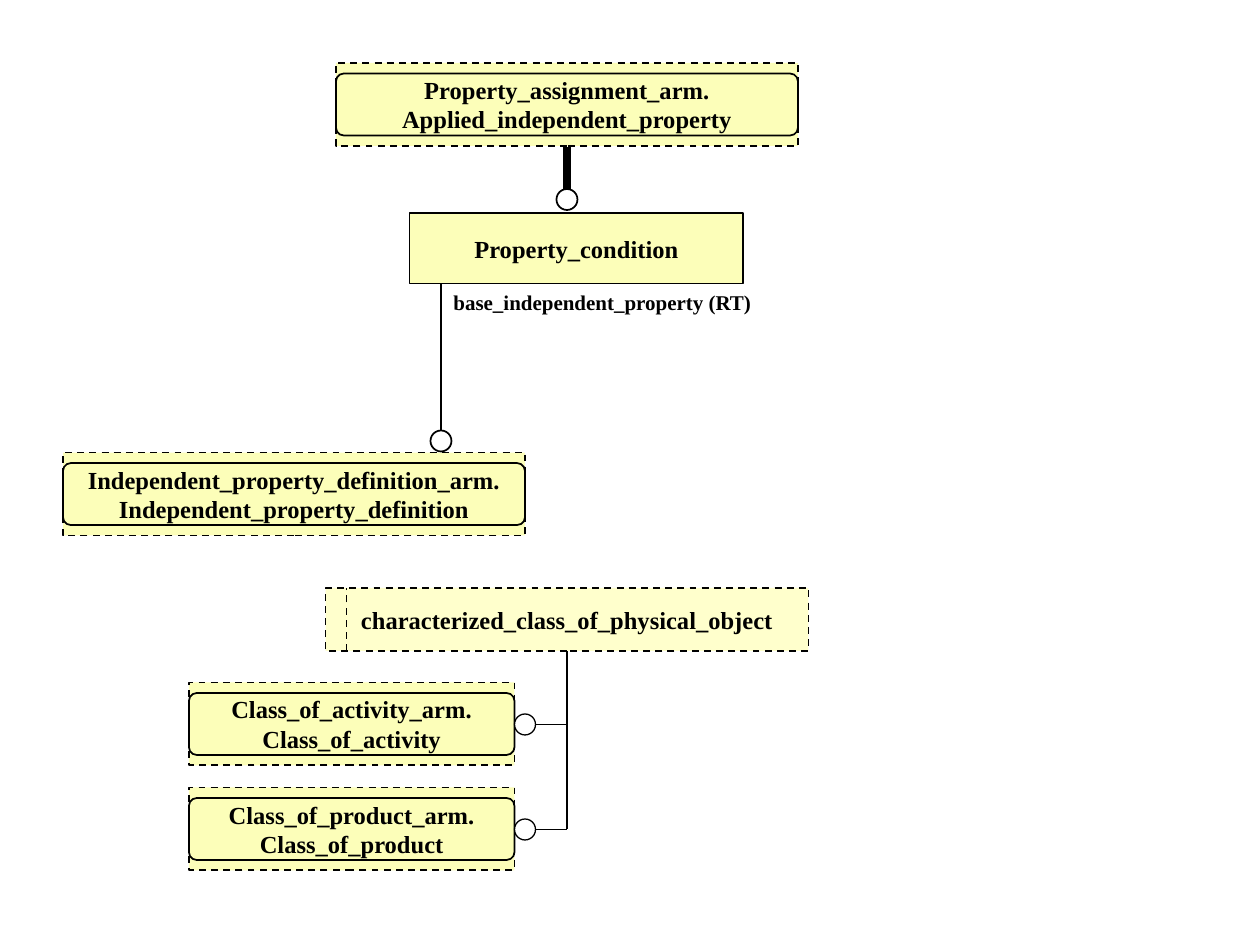
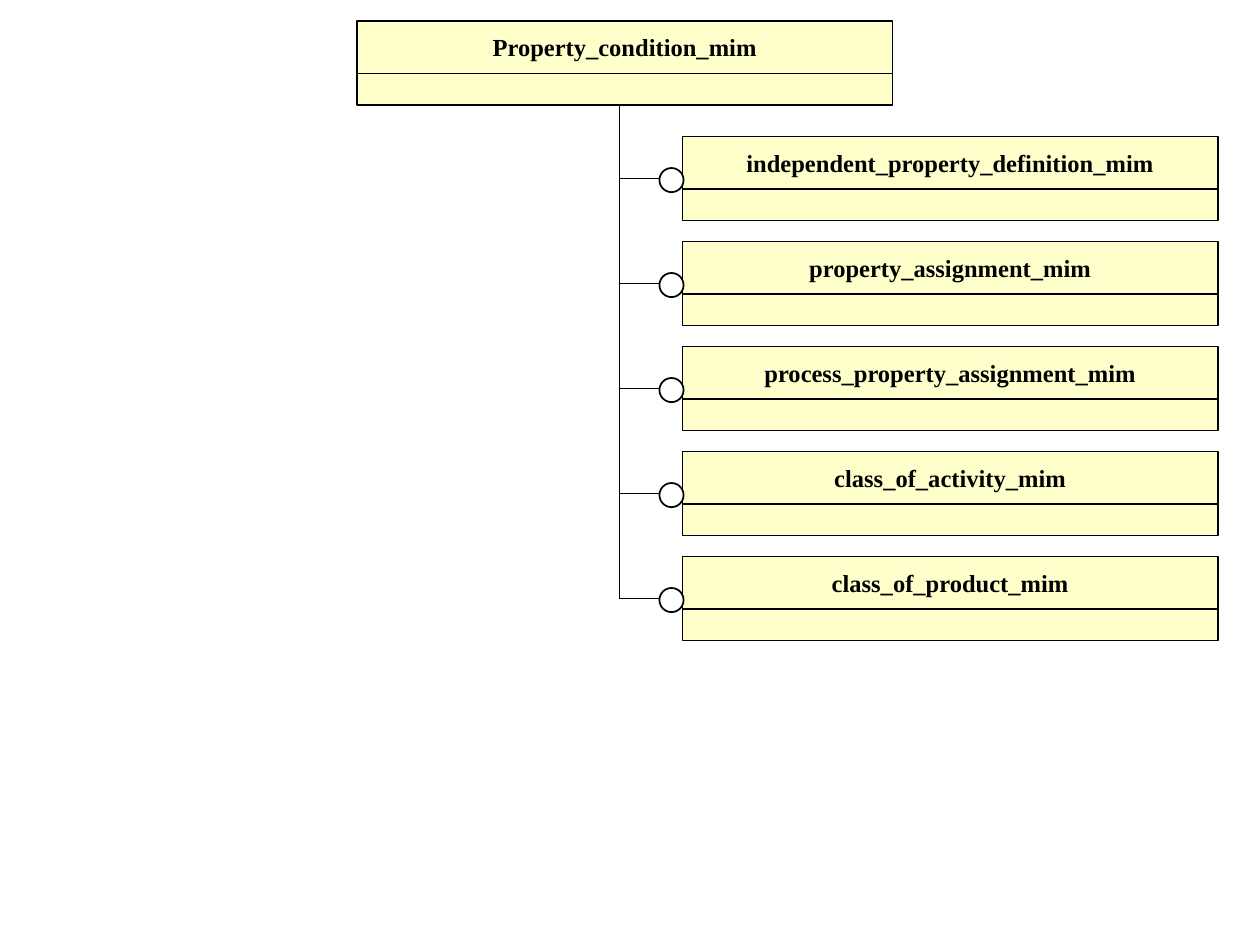
from dataclasses import dataclass

from lxml import etree
from pptx import Presentation
from pptx import util as u
from pptx.dml.color import RGBColor
from pptx.enum import dml, shapes, text
from pptx.oxml import ns

PX = 7620


@dataclass(frozen=True)
class Theme:
    ink: str = "000000"
    paper: str = "FFFFFF"
    entity: str = "FCFEB9"
    schema: str = "FFFFCC"
    font: str = "Times New Roman"
    name_size: int = 14
    role_size: int = 12
    thin: float = 0.75
    normal: float = 1
    thick: float = 4.5


THEME = Theme()
FRAME = dict(margin_left=12 * PX, margin_right=12 * PX, margin_top=6 * PX,
             margin_bottom=6 * PX, word_wrap=False)
RECT = shapes.MSO_SHAPE.RECTANGLE
CIRCLE = shapes.MSO_SHAPE.OVAL
ROUNDED = shapes.MSO_SHAPE.ROUNDED_RECTANGLE


def apply(target, formats):
    for attribute, value in formats.items():
        setattr(target, attribute, value)


def stroke(outline, weight, dashed=False):
    outline.color.rgb = RGBColor.from_string(THEME.ink)
    outline.width = u.Pt(weight)
    if dashed:
        outline.dash_style = dml.MSO_LINE.DASH


def write(frame, wording, size, align, anchor):
    apply(frame, dict(FRAME, vertical_anchor=anchor))
    for index, words in enumerate(wording.split("\n")):
        paragraph = frame.paragraphs[0] if index == 0 else frame.add_paragraph()
        paragraph.text = words
        paragraph.alignment = align
        apply(paragraph.font, dict(name=THEME.font, size=u.Pt(size), bold=True))
        paragraph.font.color.rgb = RGBColor.from_string(THEME.ink)


def block(parent, kind, box, fill, weight, wording="", dashed=False):
    outline = parent.add_shape(kind, *(length * PX for length in box))
    outline.shadow.inherit = False
    if fill:
        outline.fill.solid()
        outline.fill.fore_color.rgb = RGBColor.from_string(fill)
    else:
        outline.fill.background()
    stroke(outline.line, weight, dashed)
    if wording:
        write(outline.text_frame, wording, THEME.name_size,
              text.PP_ALIGN.CENTER, text.MSO_ANCHOR.MIDDLE)
    return outline


def relation(parent, start, end, weight=THEME.thin, dashed=False):
    link = parent.add_connector(shapes.MSO_CONNECTOR.STRAIGHT,
                                *(length * PX for length in start + end))
    stroke(link.line, weight, dashed)
    etree.SubElement(link._element.spPr, ns.qn("a:effectLst"))


def role_label(parent, box, wording):
    label = parent.add_textbox(*(length * PX for length in box))
    write(label.text_frame, wording, THEME.role_size,
          text.PP_ALIGN.LEFT, text.MSO_ANCHOR.TOP)
    label.text_frame.auto_size = text.MSO_AUTO_SIZE.SHAPE_TO_FIT_TEXT


def referenced_entity(parent, left, top, width, wording):
    members = parent.add_group_shape().shapes
    block(members, RECT, (left, top, width, 79), THEME.entity, THEME.normal,
          wording, dashed=True)
    inner = block(members, ROUNDED, (left, top + 10, width, 59), None, THEME.normal)
    inner.adjustments[0] = 0.125


def schema_box(parent, left, top, wording):
    members = parent.add_group_shape().shapes
    block(members, RECT, (left, top, 510, 50), THEME.schema, THEME.thin, wording)
    block(members, RECT, (left, top + 50, 510, 30), THEME.schema, THEME.thin)


def property_region(parent, left, top):
    supertype_x, base_x = left + 480, left + 360
    condition_top = top + 143
    condition_bottom = condition_top + 67
    definition_top = top + 371

    block(parent, RECT, (left + 330, condition_top, 318, 67),
          THEME.entity, THEME.normal, "Property_condition")
    referenced_entity(parent, left, definition_top, 440,
                      "Independent_property_definition_arm.\nIndependent_property_definition")
    relation(parent, (base_x, condition_bottom), (base_x, definition_top - 21))
    role_label(parent, (base_x, condition_bottom, 308, 36), "base_independent_property (RT)")
    block(parent, CIRCLE, (base_x - 10, definition_top - 21, 20, 20),
          THEME.paper, THEME.normal)

    referenced_entity(parent, supertype_x - 220, top, 440,
                      "Property_assignment_arm.\nApplied_independent_property")
    block(parent, CIRCLE, (supertype_x - 10, top + 120, 20, 20),
          THEME.paper, THEME.normal)
    relation(parent, (supertype_x, top + 120), (supertype_x, top + 80), THEME.thick)


def select_region(parent, left, top, members):
    select_left, trunk_x = left + 130, left + 360
    block(parent, RECT, (select_left, top, 460, 60), THEME.schema, THEME.normal,
          "characterized_class_of_physical_object", dashed=True)
    relation(parent, (select_left + 20, top + 60), (select_left + 20, top),
             THEME.normal, dashed=True)
    for row, wording in enumerate(members):
        member_top = top + 90 + 100 * row
        branch_y = member_top + 40
        referenced_entity(parent, left, member_top, 310, wording)
        block(parent, CIRCLE, (left + 310, branch_y - 10, 20, 20),
              THEME.paper, THEME.thin)
        relation(parent, (left + 330, branch_y), (trunk_x, branch_y))
    relation(parent, (trunk_x, branch_y), (trunk_x, top + 60), THEME.normal)


def schema_tree(parent, left, top, root, used_schemas):
    trunk_x, used_left = left + 250, left + 310
    schema_box(parent, left, top, root)
    for row, wording in enumerate(used_schemas):
        used_top = top + 110 + 100 * row
        branch_y = used_top + 40
        schema_box(parent, used_left, used_top, wording)
        relation(parent, (trunk_x, branch_y), (used_left - 20, branch_y))
        block(parent, CIRCLE, (used_left - 22, branch_y - 10, 23, 23),
              THEME.paper, THEME.normal)
    relation(parent, (trunk_x, branch_y), (trunk_x, top + 80))


def main():
    deck = Presentation()
    apply(deck, dict(slide_width=1200 * PX, slide_height=900 * PX))
    blank = deck.slide_layouts[6]

    entities = deck.slides.add_slide(blank).shapes
    property_region(entities, 60, 60)
    select_region(entities, 180, 560, [
        "Class_of_activity_arm.\nClass_of_activity",
        "Class_of_product_arm.\nClass_of_product",
    ])

    schemas = deck.slides.add_slide(blank).shapes
    schema_tree(schemas, 340, 20, "Property_condition_mim", [
        "independent_property_definition_mim",
        "property_assignment_mim",
        "process_property_assignment_mim",
        "class_of_activity_mim",
        "class_of_product_mim",
    ])
    deck.save("out.pptx")


if __name__ == "__main__":
    main()
